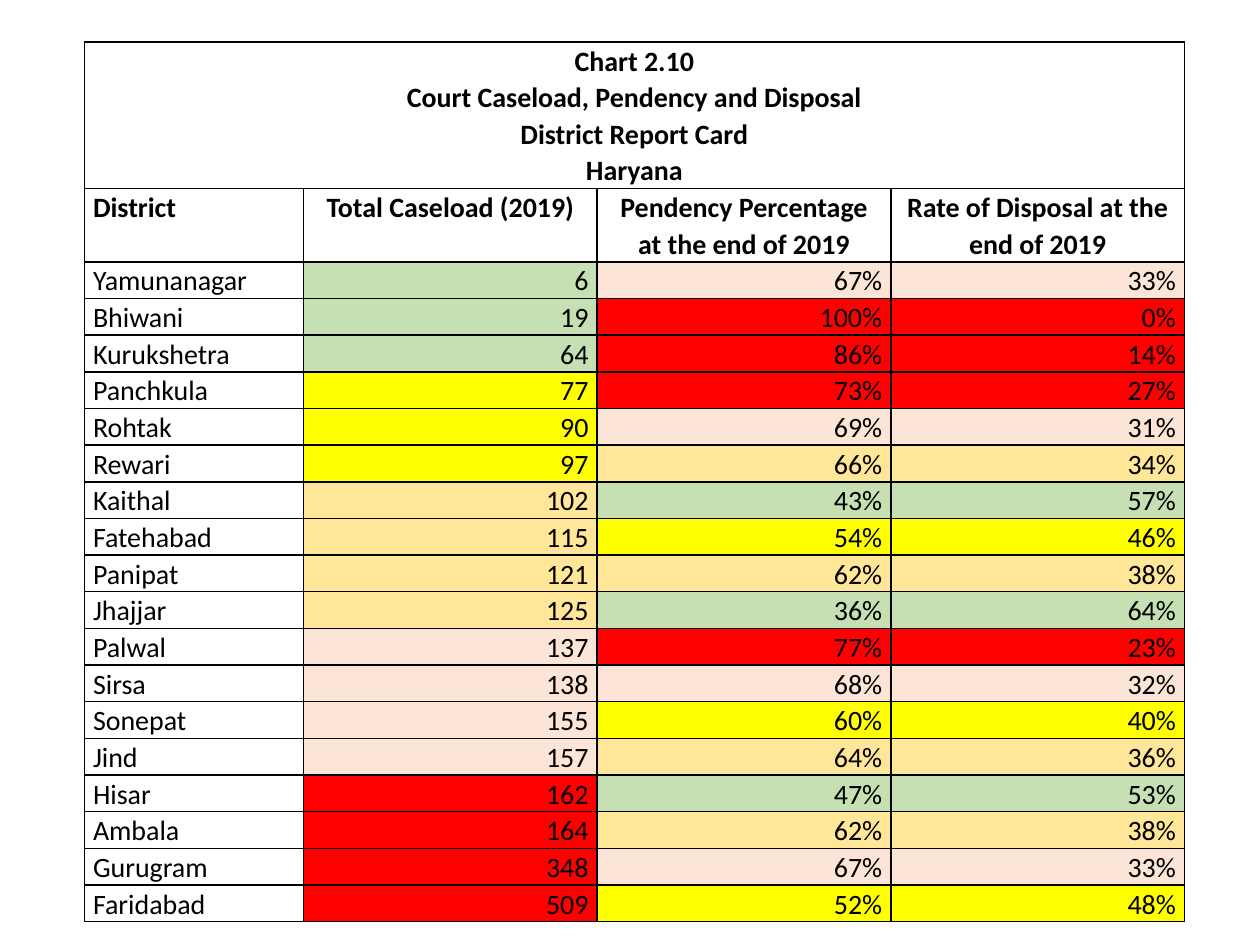
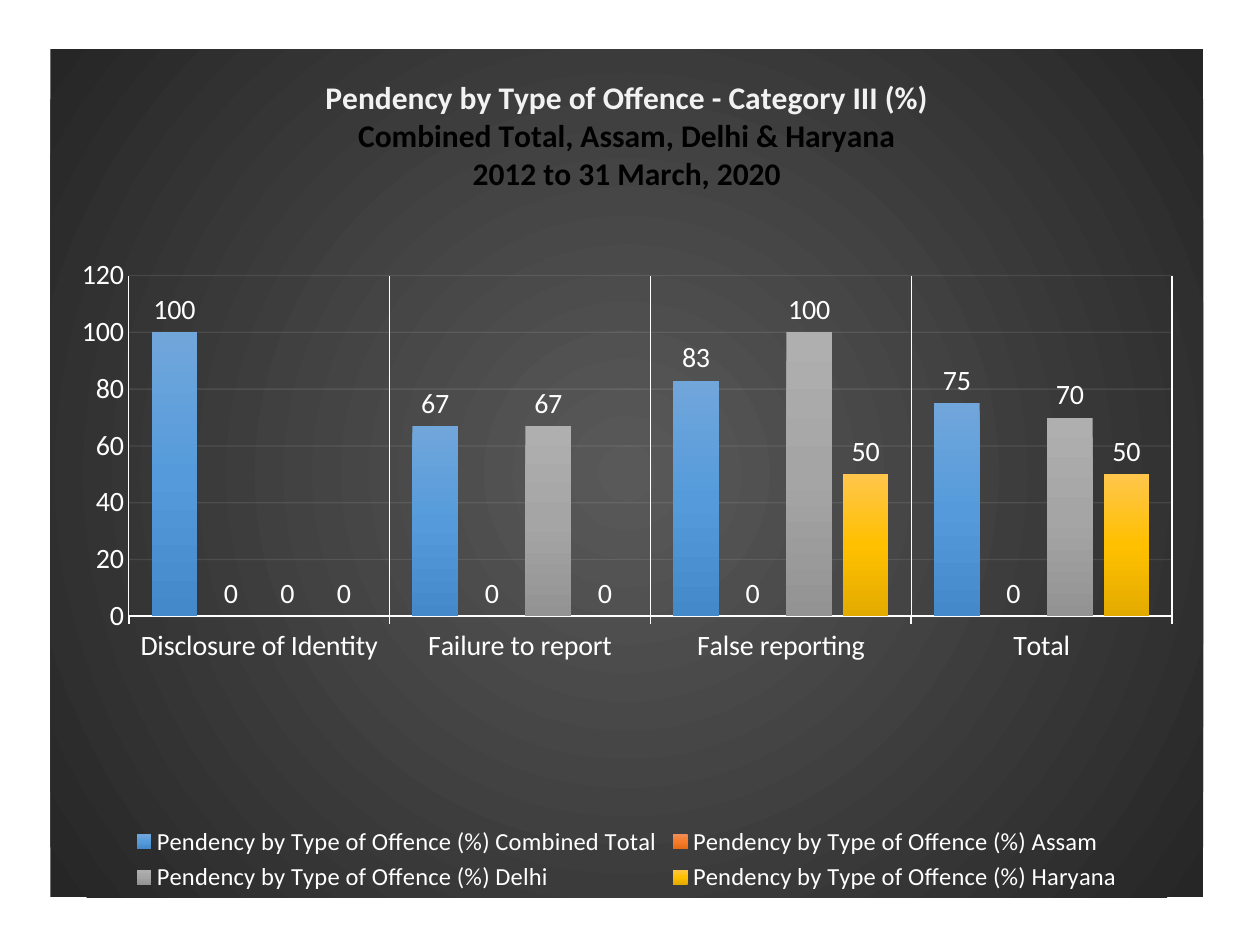
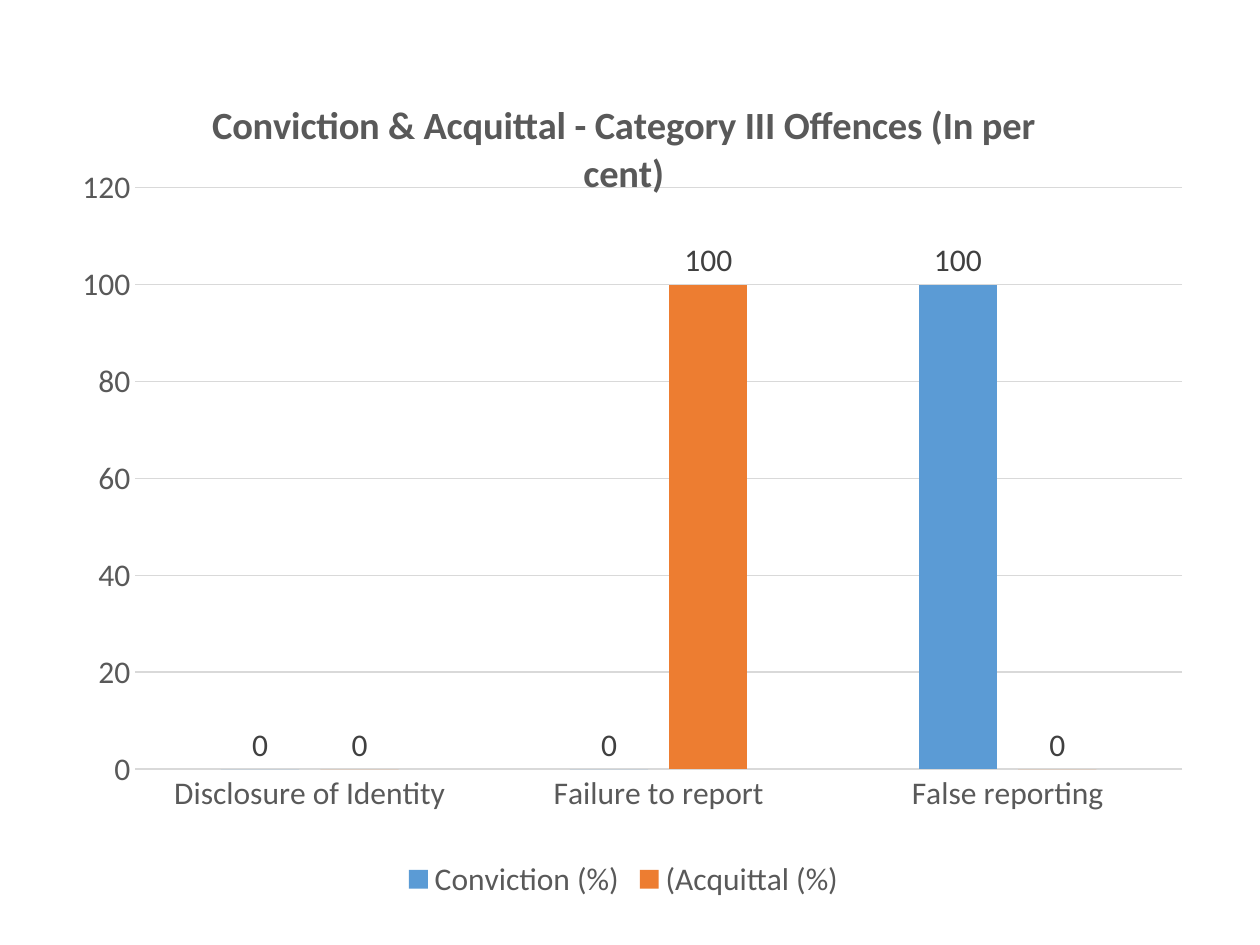
from lxml import etree
from pptx import Presentation
from pptx.chart.data import CategoryChartData
from pptx.dml.color import RGBColor
from pptx.enum.chart import XL_CHART_TYPE, XL_LABEL_POSITION, XL_LEGEND_POSITION, XL_TICK_LABEL_POSITION, XL_TICK_MARK
from pptx.enum.text import MSO_ANCHOR, PP_ALIGN
from pptx.oxml import parse_xml
from pptx.oxml.ns import qn
from pptx.util import Pt

COLUMNS = XL_CHART_TYPE.COLUMN_CLUSTERED
OUTSIDE_END = XL_LABEL_POSITION.OUTSIDE_END
BOTTOM = XL_LEGEND_POSITION.BOTTOM
LOW = XL_TICK_LABEL_POSITION.LOW
NO_TICK, TICK_OUT = XL_TICK_MARK.NONE, XL_TICK_MARK.OUTSIDE
LEFT, CENTER, RIGHT = PP_ALIGN.LEFT, PP_ALIGN.CENTER, PP_ALIGN.RIGHT
TOP, MIDDLE = MSO_ANCHOR.TOP, MSO_ANCHOR.MIDDLE

FONT = "Calibri"
DRAWING = "http://schemas.openxmlformats.org/drawingml/2006/main"
CHART = "http://schemas.openxmlformats.org/drawingml/2006/chart"

GREEN, YELLOW, AMBER, PEACH, RED = "C6E0B4", "FFFF00", "FFE699", "FCE4D6", "FF0000"
CASELOAD_BANDS = [(64, GREEN), (97, YELLOW), (125, AMBER), (157, PEACH)]
PENDENCY_BANDS = [(47, GREEN), (60, YELLOW), (66, AMBER), (69, PEACH)]

CARD_TITLE = ["Chart 2.10", "Court Caseload, Pendency and Disposal", "District Report Card", "Haryana"]
CARD_HEADINGS = ["District", "Total Caseload (2019)", "Pendency Percentage at the end of 2019",
                 "Rate of Disposal at the end of 2019"]
DISTRICTS = [
    ("Yamunanagar", 6, 67), ("Bhiwani", 19, 100), ("Kurukshetra", 64, 86),
    ("Panchkula", 77, 73), ("Rohtak", 90, 69), ("Rewari", 97, 66),
    ("Kaithal", 102, 43), ("Fatehabad", 115, 54), ("Panipat", 121, 62),
    ("Jhajjar", 125, 36), ("Palwal", 137, 77), ("Sirsa", 138, 68),
    ("Sonepat", 155, 60), ("Jind", 157, 64), ("Hisar", 162, 47),
    ("Ambala", 164, 62), ("Gurugram", 348, 67), ("Faridabad", 509, 52),
]
CARD_WIDTHS = [125.3, 167.8, 167.8, 167.8]
TITLE_HEIGHT, HEADING_HEIGHT, DISTRICT_HEIGHT = 83.4, 41.9, 20.9

OFFENCES = ["Disclosure of Identity", "Failure to report", "False reporting"]
PENDENCY = {
    "at": (28.8, 28.1, 658.8, 484.6),
    "title": [("Pendency by Type of Offence - Category III (%)", "F2F2F2"),
              ("Combined Total, Assam, Delhi & Haryana", "000000"),
              ("2012 to 31 March, 2020", "000000")],
    "title_size": 18,
    "categories": OFFENCES + ["Total"],
    "series": [
        ("Pendency by Type of Offence (%) Combined Total", (100, 67, 83, 75), ["71A6DB", "559BDB", "448ACA"]),
        ("Pendency by Type of Offence (%) Assam", (0, 0, 0, 0), ["F18C57", "F67B28", "E56C19"]),
        ("Pendency by Type of Offence (%) Delhi", (0, 67, 100, 70), ["AFAFAF", "A5A5A5", "939393"]),
        ("Pendency by Type of Offence (%) Haryana", (0, 0, 50, 50), ["FFC64B", "FFC000", "E3AB00"]),
    ],
    "text": "FFFFFF", "labels": "FFFFFF", "size": 16, "legend_size": 14,
    "axis": ("FFFFFF", 1), "grid": "F2F2F2", "gap": 100, "overlap": -24,
    "plot": (0.068, 0.267, 0.905, 0.402),
}
CONVICTION = {
    "at": (26.6, 38.9, 659.5, 478.1),
    "title": [("Conviction & Acquittal - Category III Offences (In per cent)", "595959")],
    "title_size": 22,
    "categories": OFFENCES,
    "series": [("Conviction (%)", (0, 0, 100), ["5B9BD5"]),
               ("(Acquittal (%)", (0, 100, 0), ["ED7D31"])],
    "text": "595959", "labels": "404040", "size": 18, "legend_size": 18,
    "axis": ("D9D9D9", 0.75), "grid": "D9D9D9", "gap": 219, "overlap": -27,
    "plot": (0.077, 0.143, 0.907, 0.695),
}


def rgb(color):
    return RGBColor.from_string(color)


def style_font(font, size, color, bold=False):
    font.name = FONT
    font.size = Pt(size)
    font.bold = bold
    font.color.rgb = rgb(color)


def style_line(line, color, width):
    line.color.rgb = rgb(color)
    line.width = Pt(width)


def gradient(colors, direction):
    step = 100000 // (len(colors) - 1)
    stops = "".join(f'<a:gs pos="{index * step}"><a:srgbClr val="{color}"/></a:gs>'
                    for index, color in enumerate(colors))
    return parse_xml(f'<a:gradFill xmlns:a="{DRAWING}" rotWithShape="1">'
                     f'<a:gsLst>{stops}</a:gsLst>{direction}</a:gradFill>')


def band_color(value, bands):
    return next((color for limit, color in bands if value <= limit), RED)


def add_borders(cell):
    properties = cell._tc.get_or_add_tcPr()
    for side in ("lnL", "lnR", "lnT", "lnB"):
        properties.append(parse_xml(
            f'<a:{side} xmlns:a="{DRAWING}" w="12700"><a:solidFill>'
            f'<a:srgbClr val="000000"/></a:solidFill></a:{side}>'))


def fill_cell(cell, text, alignment, bold=False, color=None, anchor=TOP):
    cell.margin_left = cell.margin_right = Pt(5)
    cell.margin_top = cell.margin_bottom = Pt(0)
    cell.vertical_anchor = anchor
    cell.text_frame.text = text
    for paragraph in cell.text_frame.paragraphs:
        paragraph.alignment = alignment
        paragraph.line_spacing = 1.07
        for run in paragraph.runs:
            style_font(run.font, 16, "000000", bold)
    if color:
        cell.fill.solid()
        cell.fill.fore_color.rgb = rgb(color)
    else:
        cell.fill.background()


def add_report_card(slide):
    heights = [TITLE_HEIGHT, HEADING_HEIGHT] + [DISTRICT_HEIGHT] * len(DISTRICTS)
    table = slide.shapes.add_table(len(heights), len(CARD_WIDTHS), Pt(48.2), Pt(24),
                                   Pt(sum(CARD_WIDTHS)), Pt(sum(heights))).table
    table.first_row = table.horz_banding = False
    for column, width in zip(table.columns, CARD_WIDTHS):
        column.width = Pt(width)
    for row, height in zip(table.rows, heights):
        row.height = Pt(height)
    for cell in table.iter_cells():
        add_borders(cell)
        cell.fill.background()
    table.cell(0, 0).merge(table.cell(0, len(CARD_WIDTHS) - 1))
    fill_cell(table.cell(0, 0), "\n".join(CARD_TITLE), CENTER, True, anchor=MIDDLE)
    for column, heading in enumerate(CARD_HEADINGS):
        fill_cell(table.cell(1, column), heading, CENTER if column else LEFT, True)
    for row, (district, caseload, pendency) in enumerate(DISTRICTS, 2):
        pendency_color = band_color(pendency, PENDENCY_BANDS)
        fill_cell(table.cell(row, 0), district, LEFT)
        fill_cell(table.cell(row, 1), str(caseload), RIGHT, color=band_color(caseload, CASELOAD_BANDS))
        fill_cell(table.cell(row, 2), f"{pendency}%", RIGHT, color=pendency_color)
        fill_cell(table.cell(row, 3), f"{100 - pendency}%", RIGHT, color=pendency_color)


def place_plot(chart, plot):
    area = chart._chartSpace.find(f".//{qn('c:plotArea')}")
    for layout in area.findall(qn("c:layout")):
        area.remove(layout)
    sizes = "".join(f'<c:{name} val="{value}"/>' for name, value in zip("xywh", plot))
    area.insert(0, parse_xml(
        f'<c:layout xmlns:c="{CHART}"><c:manualLayout><c:layoutTarget val="inner"/>'
        f'<c:xMode val="edge"/><c:yMode val="edge"/>{sizes}</c:manualLayout></c:layout>'))


def add_column_chart(slide, design):
    data = CategoryChartData(number_format="0")
    data.categories = design["categories"]
    for name, values, _ in design["series"]:
        data.add_series(name, values)
    chart = slide.shapes.add_chart(COLUMNS, *map(Pt, design["at"]), data).chart
    style_font(chart.font, 18, "000000")
    place_plot(chart, design["plot"])

    title = chart.chart_title
    title.include_in_layout = False
    title.text_frame.text = "\n".join(text for text, _ in design["title"])
    for paragraph, (_, color) in zip(title.text_frame.paragraphs, design["title"]):
        style_font(paragraph.runs[0].font, design["title_size"], color, True)

    chart.has_legend = True
    chart.legend.position = BOTTOM
    chart.legend.include_in_layout = False
    style_font(chart.legend.font, design["legend_size"], design["text"])

    for axis in (chart.category_axis, chart.value_axis):
        axis.major_tick_mark = axis.minor_tick_mark = NO_TICK
        style_font(axis.tick_labels.font, design["size"], design["text"])
    style_line(chart.category_axis.format.line, *design["axis"])
    value_axis = chart.value_axis
    value_axis.minimum_scale, value_axis.maximum_scale, value_axis.major_unit = 0, 120, 20
    value_axis.format.line.fill.background()
    value_axis.has_major_gridlines = True
    style_line(value_axis.major_gridlines.format.line, design["grid"], 0.75)

    plot = chart.plots[0]
    plot.gap_width, plot.overlap = design["gap"], design["overlap"]
    plot.vary_by_categories = False
    for series, (_, _, colors) in zip(plot.series, design["series"]):
        series.invert_if_negative = False
        if len(colors) == 1:
            series.format.fill.solid()
            series.format.fill.fore_color.rgb = rgb(colors[0])
        else:
            series._element.get_or_add_spPr().append(gradient(colors, '<a:lin ang="5400000" scaled="0"/>'))
        labels = series.data_labels
        labels.show_value = True
        labels.position = OUTSIDE_END
        labels.number_format, labels.number_format_is_linked = "0", False
        style_font(labels.font, design["size"], design["labels"])
    return chart


def darken_chart(chart):
    background = etree.Element(qn("c:spPr"))
    background.append(gradient(
        ["595959", "262626"],
        '<a:path path="circle"><a:fillToRect l="50000" t="50000" r="50000" b="50000"/></a:path>'))
    etree.SubElement(etree.SubElement(background, qn("a:ln")), qn("a:noFill"))
    chart._chartSpace.find(qn("c:chart")).addnext(background)
    category_axis = chart.category_axis
    category_axis.major_tick_mark = TICK_OUT
    category_axis.tick_label_position = LOW
    category_axis.has_major_gridlines = True
    style_line(category_axis.major_gridlines.format.line, "FFFFFF", 0.75)
    gridlines = chart.value_axis._element.find(qn("c:majorGridlines"))
    for color in gridlines.iter(qn("a:srgbClr")):
        etree.SubElement(color, qn("a:alpha"), val="10000")


def main():
    presentation = Presentation()
    presentation.slide_width, presentation.slide_height = Pt(720), Pt(540)
    card, pendency, conviction = (
        presentation.slides.add_slide(presentation.slide_layouts[6]) for _ in range(3))
    add_report_card(card)
    darken_chart(add_column_chart(pendency, PENDENCY))
    add_column_chart(conviction, CONVICTION)
    presentation.save("out.pptx")


if __name__ == "__main__":
    main()
